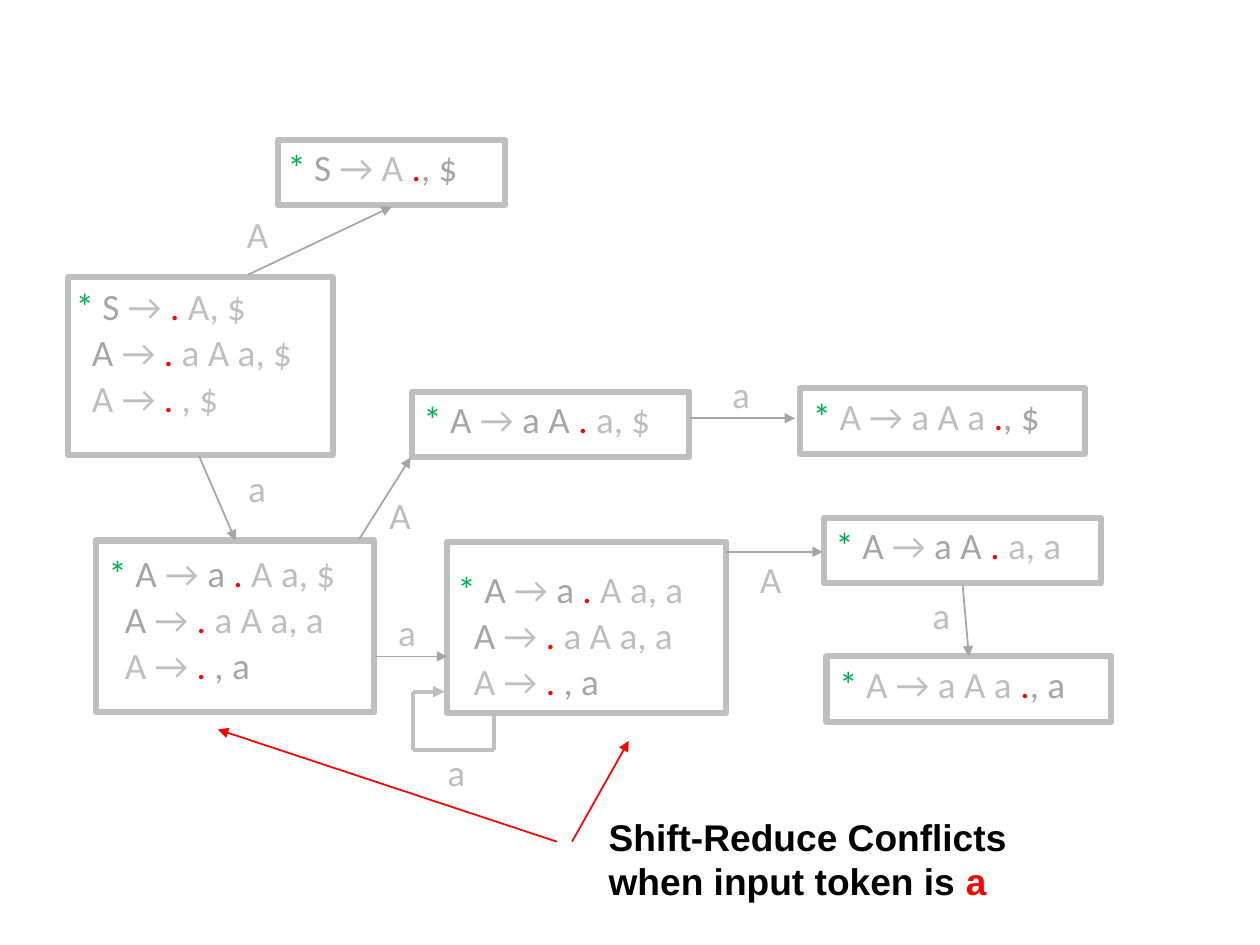
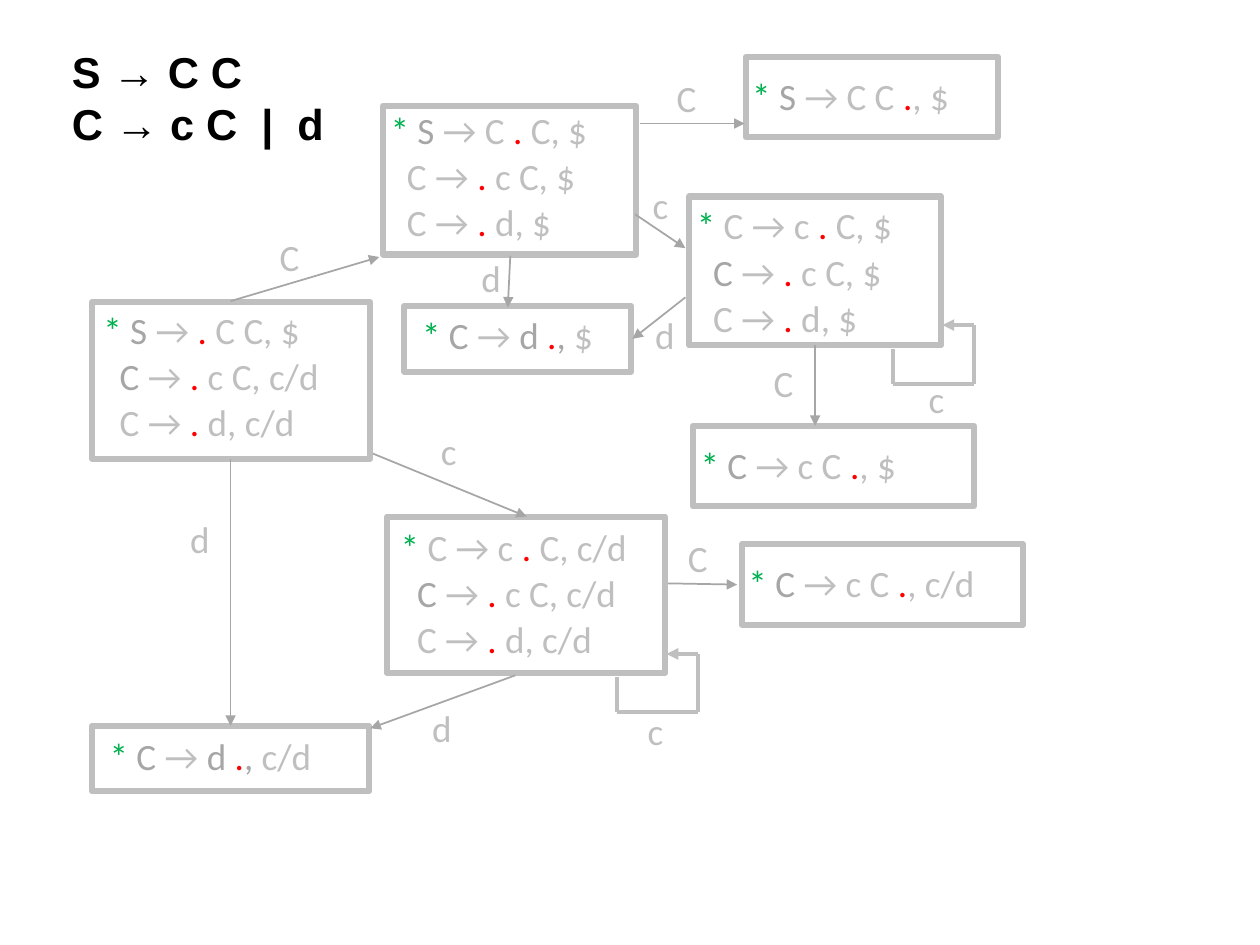
import itertools

import pptx
import pptx.dml.color
import pptx.enum.shapes
import pptx.enum.text
import pptx.oxml
import pptx.oxml.ns
import pptx.util
from pptx.util import Inches

COLOURS = {
    "kernel": "00B050",
    "dot": "FF0000",
    "dark": "A6A6A6",
    "light": "BFBFBF",
    "black": "000000",
    "white": "FFFFFF",
}
ITEM_SIZE = 21.2
GRAMMAR_SIZE = 24.7
LINE_HEIGHT = 0.36
INSET_X, INSET_Y = 0.09, 0.04
CLOSURE_INDENT = 0.13
LABEL_WIDTH = 0.36

# States: box (left, top, width, height), text (left, top, width), first line
# spacing, items. Braces hold the darker symbols; * marks a kernel item.
CONFLICT_STATES = [
    ((0.54, 2.2, 2.1, 1.41), (0.51, 2.21, 1.95), 1,
     ["* {S} → . A, $", "{A} → . a A a, $", "A → . , $"]),
    ((2.21, 1.11, 1.8, 0.52), (2.19, 1.11, 1.65), 1, ["* {S} → A .{, $}"]),
    ((0.76, 4.29, 2.21, 1.36), (0.77, 4.15, 2.68), 1.5,
     ["* {A} → {a} . A a, $", "{A} → . a A a, a", "A → . {, a}"]),
    ((3.55, 4.3, 2.21, 1.36), (3.54, 4.28, 2.68), 1.5,
     ["* {A} → {a} . A a, a", "{A} → . a A a, a", "A → . {, a}"]),
    ((6.54, 4.11, 2.2, 0.52), (6.54, 4.11, 2.24), 1, ["* {A} → {a A} . a, a"]),
    ((6.56, 5.21, 2.26, 0.52), (6.57, 5.21, 2.09), 1, ["* A → a A a .{, a}"]),
    ((3.27, 3.11, 2.2, 0.52), (3.27, 3.11, 2.24), 1, ["* {A} → {a A} . a, $"]),
    ((6.35, 3.08, 2.26, 0.52), (6.36, 3.08, 2.1), 1, ["* A → a A a .{, $}"]),
]
# Transitions: symbol, label position, points of the route
CONFLICT_TRANSITIONS = [
    ("a", (1.88, 3.65), [(1.58, 3.62), (1.87, 4.29)]),
    ("A", (5.94, 4.38), [(5.76, 4.38), (6.53, 4.38)]),
    ("a", (7.31, 4.66), [(7.64, 4.64), (7.69, 5.21)]),
    ("A", (1.87, 1.64), [(1.97, 2.18), (3.11, 1.64)]),
    ("a", (3.07, 4.8), [(2.98, 5.21), (3.55, 5.21)]),
    ("A", (3.0, 3.87), [(2.85, 4.28), (3.26, 3.63)]),
    ("a", (5.72, 2.91), [(5.48, 3.32), (6.31, 3.32)]),
    ("a", (3.46, 5.91),
     [(3.92, 5.67), (3.92, 5.95), (3.28, 5.95), (3.28, 5.49), (3.53, 5.49)]),
]
CONFLICT_NOTE = [
    [("Shift-Reduce Conflicts", "black")],
    [("when input token is ", "black"), ("a", "dot")],
]
CONFLICT_POINTERS = [[(4.42, 6.68), (1.73, 5.79)], [(4.54, 6.68), (4.99, 5.88)]]

GRAMMAR = [[("S → C C", "black")], [("C → c C  |  d", "black")]]
GRAMMAR_STATES = [
    ((0.73, 2.4, 2.21, 1.24), (0.73, 2.4, 1.94), 1,
     ["* {S} → . C C, $", "{C} → . c C, c/d", "C → . d, c/d"]),
    ((3.04, 0.84, 2.01, 1.18), (3.01, 0.81, 1.79), 1,
     ["* {S} → C . C, $", "C → . c C, $", "C → . d, $"]),
    ((0.73, 5.76, 2.2, 0.52), (0.78, 5.78, 1.83), 1, ["* {C} → {d} .{,} c/d"]),
    ((3.07, 4.1, 2.21, 1.24), (3.09, 4.12, 2.03), 1,
     ["* C → c . C, c/d", "{C} → . c C, c/d", "C → . d, c/d"]),
    ((5.47, 1.56, 2.0, 1.18), (5.44, 1.57, 1.78), 1,
     ["* C → c . C, $", "{C} → . c C, $", "C → . d, $"]),
    ((5.92, 0.45, 2.0, 0.64), (5.88, 0.54, 2.1), 1, ["* {S} → C C ., $"]),
    ((5.89, 4.32, 2.23, 0.64), (5.85, 4.41, 2.26), 1, ["* {C} → c C ., c/d"]),
    ((5.5, 3.38, 2.23, 0.64), (5.47, 3.47, 2.26), 1, ["* {C} → c C ., $"]),
    ((3.21, 2.43, 1.8, 0.52), (3.26, 2.44, 1.59), 1, ["* {C} → {d} .{,} $"]),
]
GRAMMAR_TRANSITIONS = [
    ("d", (1.42, 4.06), [(1.83, 3.64), (1.83, 5.76)]),
    ("c", (3.41, 3.36), [(2.96, 3.6), (4.18, 4.1)]),
    ("C", (2.13, 1.82), [(1.83, 2.39), (3.01, 2.04)]),
    ("d", (3.34, 5.56), [(4.09, 5.36), (2.94, 5.78)]),
    ("C", (6.05, 2.82), [(6.47, 2.74), (6.47, 3.38)]),
    ("C", (5.37, 4.21), [(5.3, 4.63), (5.85, 4.64)]),
    ("C", (5.28, 0.56), [(5.08, 0.98), (5.91, 0.98)]),
    ("d", (3.73, 1.99), [(4.05, 2.03), (4.03, 2.44)]),
    ("d", (5.11, 2.44), [(5.44, 2.36), (5.02, 2.69)]),
    ("c", (5.09, 1.41), [(5.04, 1.7), (5.44, 1.97)]),
    ("c", (5.05, 5.58),
     [(4.9, 5.37), (4.9, 5.65), (5.54, 5.65), (5.54, 5.19), (5.29, 5.19)]),
    ("c", (7.28, 2.95),
     [(7.09, 2.77), (7.09, 3.05), (7.73, 3.05), (7.73, 2.58), (7.48, 2.58)]),
]


def rgb(tone):
    return pptx.dml.color.RGBColor.from_string(COLOURS[tone])


def item_runs(item):
    """Split an item into (text, tone) runs."""
    toned, base = [], "light"
    for symbol in item:
        if symbol in "{}":
            base = "dark" if symbol == "{" else "light"
        else:
            toned.append((symbol, {"*": "kernel", ".": "dot"}.get(symbol, base)))
    return [("".join(symbol for symbol, _ in group), tone)
            for tone, group in itertools.groupby(toned, key=lambda pair: pair[1])]


def add_text(slide, left, top, width, lines, wrap=False, font="Calibri",
             size=ITEM_SIZE, bold=False):
    """Add a text box of (text, tone) lines and return it."""
    height = 2 * INSET_Y + len(lines) * LINE_HEIGHT * size / ITEM_SIZE
    block = slide.shapes.add_textbox(
        Inches(left), Inches(top), Inches(width), Inches(height))
    frame = block.text_frame
    frame.word_wrap = wrap
    frame.auto_size = pptx.enum.text.MSO_AUTO_SIZE.SHAPE_TO_FIT_TEXT
    frame.margin_left = frame.margin_right = Inches(INSET_X)
    frame.margin_top = frame.margin_bottom = Inches(INSET_Y)
    for number, line in enumerate(lines):
        paragraph = frame.paragraphs[0] if number == 0 else frame.add_paragraph()
        for text, tone in line:
            run = paragraph.add_run()
            run.text = text
            run.font.name = font
            run.font.size = pptx.util.Pt(size)
            run.font.bold = bold
            run.font.color.rgb = rgb(tone)
    return block


def add_route(slide, points, tone, weight):
    """Join the points with lines, the last one ending in an arrowhead."""
    for start, end in itertools.pairwise(points):
        leg = slide.shapes.add_connector(
            pptx.enum.shapes.MSO_CONNECTOR.STRAIGHT,
            *(Inches(length) for length in (*start, *end)))
        leg.line.color.rgb = rgb(tone)
        leg.line.width = pptx.util.Pt(weight)
        if end == points[-1]:
            leg.line._get_or_add_ln().append(pptx.oxml.parse_xml(
                f'<a:tailEnd {pptx.oxml.ns.nsdecls("a")} type="triangle"/>'))
        leg._element.spPr.append(pptx.oxml.parse_xml(
            f'<a:effectLst {pptx.oxml.ns.nsdecls("a")}/>'))


def add_state(slide, box, text_place, first_spacing, items):
    outline = slide.shapes.add_shape(
        pptx.enum.shapes.MSO_SHAPE.RECTANGLE, *(Inches(length) for length in box))
    outline.shadow.inherit = False
    outline.fill.background()
    outline.line.color.rgb = rgb("light")
    outline.line.width = pptx.util.Pt(3.5)

    # Text areas wider than their box wrap; the others fit their text
    listing = add_text(slide, *text_place, [item_runs(item) for item in items],
                       wrap=text_place[2] > box[2])
    for item, paragraph in zip(items, listing.text_frame.paragraphs):
        paragraph.space_after = pptx.util.Pt(0.9)
        if not item.startswith("*"):
            paragraph._p.get_or_add_pPr().set("marL", str(Inches(CLOSURE_INDENT)))
    if first_spacing != 1:
        listing.text_frame.paragraphs[0].line_spacing = first_spacing


def add_automaton(deck, states, transitions):
    slide = deck.slides.add_slide(deck.slide_layouts[6])
    for state in states:
        add_state(slide, *state)
    for symbol, (left, top), points in transitions:
        is_loop = len(points) > 2
        add_route(slide, points, "light" if is_loop else "dark",
                  2.25 if is_loop else 1)
        add_text(slide, left, top, LABEL_WIDTH, [[(symbol, "light")]])
    return slide


def main():
    deck = pptx.Presentation()
    deck.slide_width, deck.slide_height = Inches(10), Inches(7.5)

    # Automaton with shift-reduce conflicts
    conflict = add_automaton(deck, CONFLICT_STATES, CONFLICT_TRANSITIONS)
    note = add_text(conflict, 4.74, 6.42, 3.38, CONFLICT_NOTE,
                    font="Arial", bold=True)
    note.fill.solid()
    note.fill.fore_color.rgb = rgb("white")
    for pointer in CONFLICT_POINTERS:
        add_route(conflict, pointer, "dot", 1)

    # Automaton of the C grammar
    grammar = add_automaton(deck, GRAMMAR_STATES, GRAMMAR_TRANSITIONS)
    add_text(grammar, 0.48, 0.32, 2.22, GRAMMAR,
             font="Arial", size=GRAMMAR_SIZE, bold=True)

    deck.save("out.pptx")


if __name__ == "__main__":
    main()
